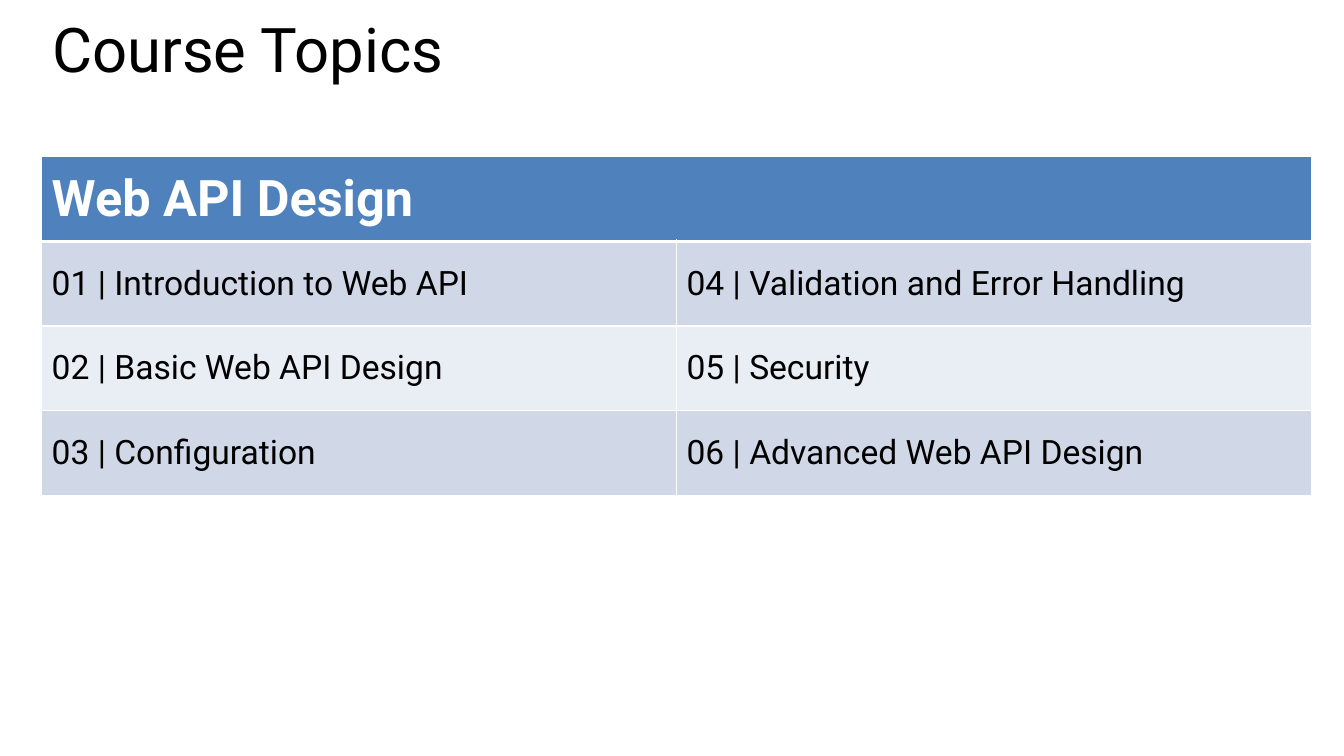
from dataclasses import dataclass

from lxml import etree
from pptx import Presentation
from pptx import util as u
from pptx.dml.color import RGBColor
from pptx.enum import text
from pptx.oxml import ns


@dataclass(frozen=True)
class Theme:
    font: str = "Roboto"
    ink: str = "000000"
    paper: str = "FFFFFF"
    header: str = "4F81BD"
    bands: tuple = ("D0D8E8", "E9EDF4")
    title_size: int = 44
    header_size: int = 36
    topic_size: int = 24
    thin: int = 1
    thick: int = 3


class TopicSlide:
    """Holds the theme and the current slide, and adds styled elements to it."""

    def __init__(self, deck, theme):
        self.theme = theme
        self.page = deck.slides.add_slide(deck.slide_layouts[5])

    def style(self, para, size, color, bold=False):
        para.alignment = text.PP_ALIGN.LEFT
        font = para.font
        font.name, font.size, font.bold = self.theme.font, u.Pt(size), bold
        font.color.rgb = RGBColor.from_string(color)

    def title(self, wording, left, top, width, height):
        box = self.page.shapes.title
        box.left, box.top, box.width, box.height = map(u.Cm, (left, top, width, height))
        frame = box.text_frame
        frame.text = wording
        frame.word_wrap = True
        frame.auto_size = text.MSO_AUTO_SIZE.NONE
        frame.vertical_anchor = text.MSO_ANCHOR.TOP
        para = frame.paragraphs[0]
        para.line_spacing = 0.8
        self.style(para, self.theme.title_size, self.theme.ink)

    def borders(self, cell, bottom):
        properties = cell._tc.get_or_add_tcPr()
        widths = {"lnL": self.theme.thin, "lnR": self.theme.thin,
                  "lnT": self.theme.thin, "lnB": bottom}
        for position, (side, width) in enumerate(widths.items()):
            line = etree.Element(ns.qn(f"a:{side}"), w=str(u.Pt(width)))
            fill = etree.SubElement(line, ns.qn("a:solidFill"))
            etree.SubElement(fill, ns.qn("a:srgbClr"), val=self.theme.paper)
            properties.insert(position, line)

    def cell(self, cell, wording, fill, size, color, bold=False, bottom=1):
        cell.text = wording
        cell.vertical_anchor = text.MSO_ANCHOR.MIDDLE
        cell.fill.solid()
        cell.fill.fore_color.rgb = RGBColor.from_string(fill)
        self.borders(cell, bottom)
        self.style(cell.text_frame.paragraphs[0], size, color, bold)

    def table(self, heading, topics, left, top, width, height):
        theme = self.theme
        frame = self.page.shapes.add_table(
            len(topics) + 1, len(topics[0]), *map(u.Cm, (left, top, width, height)))
        grid = frame.table
        grid.cell(0, 0).merge(grid.cell(0, len(topics[0]) - 1))
        self.cell(grid.cell(0, 0), heading, theme.header, theme.header_size,
                  theme.paper, bold=True, bottom=theme.thick)
        for row, names in enumerate(topics):
            band = theme.bands[row % len(theme.bands)]
            for column, name in enumerate(names):
                self.cell(grid.cell(row + 1, column), name, band,
                          theme.topic_size, theme.ink, bottom=theme.thin)


def main():
    deck = Presentation()
    deck.slide_width, deck.slide_height = u.Cm(33.87), u.Cm(19.05)
    slide = TopicSlide(deck, Theme())
    slide.title("Course Topics", 1.06, 0.5, 32, 2.95)
    topics = [
        ("01 | Introduction to Web API", "04 | Validation and Error Handling"),
        ("02 | Basic Web API Design", "05 | Security"),
        ("03 | Configuration", "06 | Advanced Web API Design"),
    ]
    slide.table("Web API Design", topics, 1.05, 3.95, 32, 8.53)
    deck.save("out.pptx")


if __name__ == "__main__":
    main()
